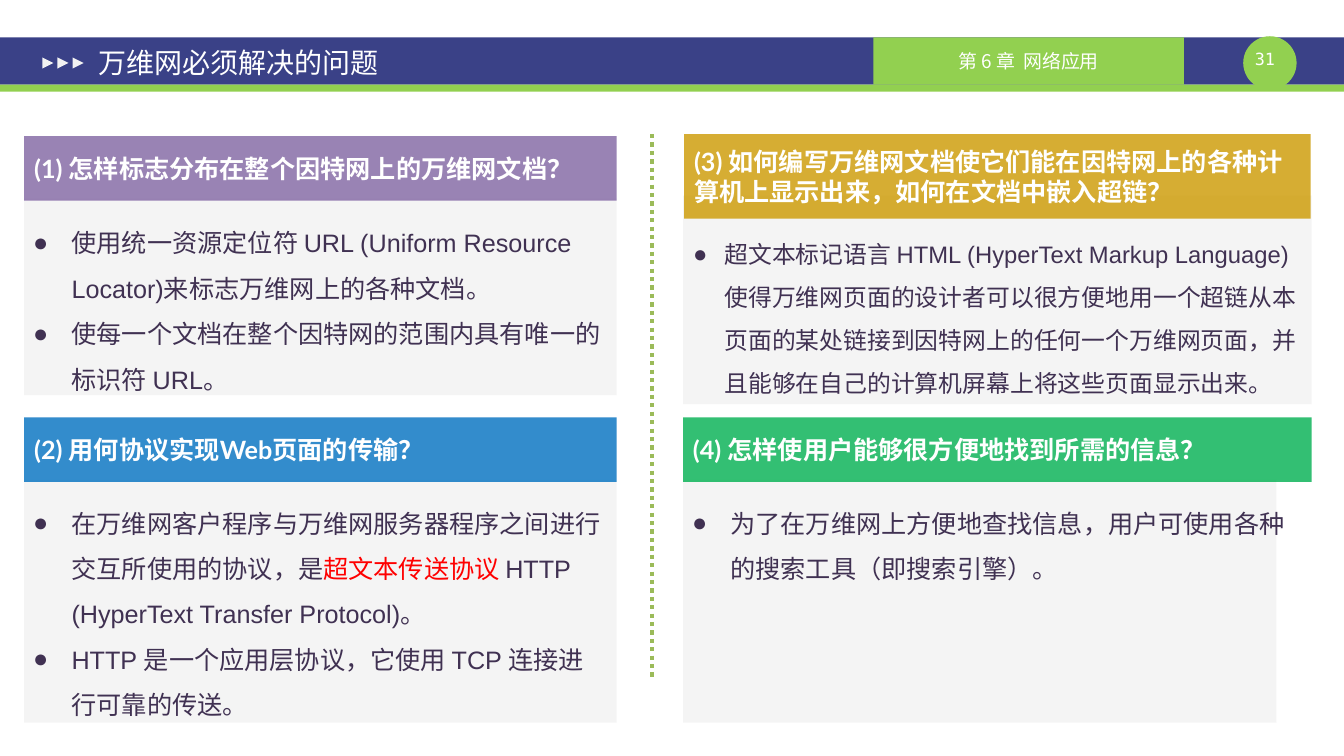
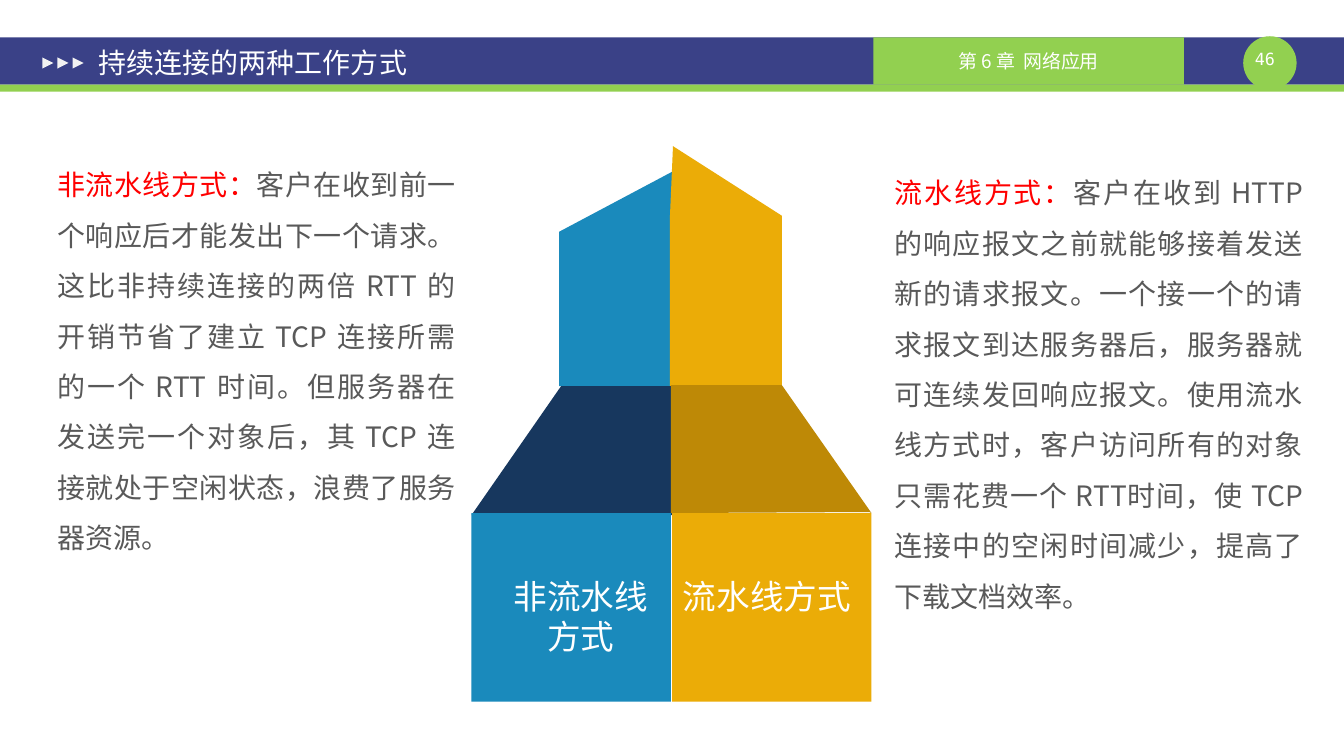
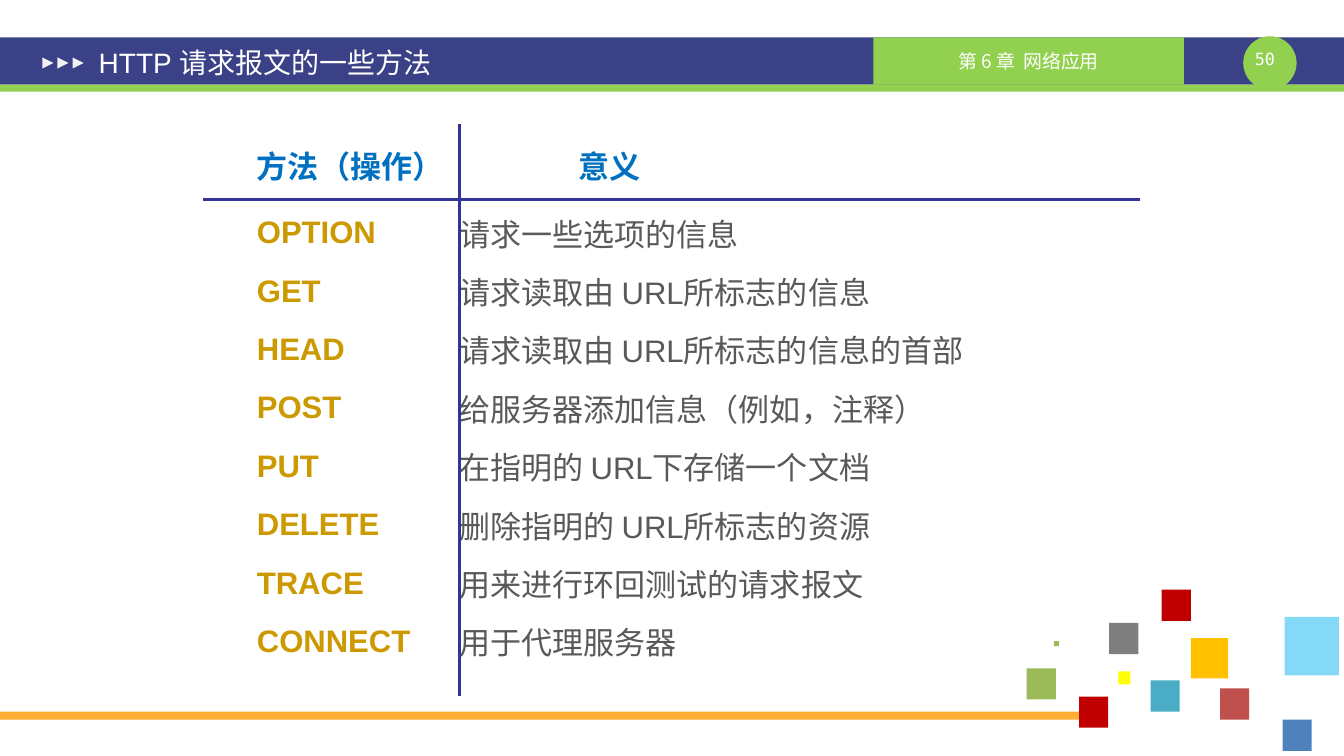
import pptx
import pptx.dml.color
import pptx.enum.dml
import pptx.enum.shapes
import pptx.enum.text
import pptx.oxml
import pptx.oxml.ns
import pptx.util
from lxml import etree

PX = 9144  # 100 px to the inch
LINE_HEIGHT = 1.2
CJK = "Noto Sans CJK SC"
COLORS = {
    "white": "FFFFFF", "navy": "3A4187", "lime": "92D050", "panel": "F2F2F2",
    "purple": "8064A2", "ochre": "CC9900", "blue": "0070C0", "green": "00B050",
    "plum": "403152", "red": "FF0000", "grey": "595959", "olive": "9BBB59",
    "sky": "1A8ABC", "amber": "EBAC07", "midnight": "17375E", "bronze": "BE8906",
    "indigo": "333399", "orange": "FF9900", "pale blue": "85D9F8",
    "brick": "C0504D", "gold": "FFC000", "teal": "4BACC6", "steel": "4F81BD",
    "yellow": "FFFF00", "crimson": "C00000", "mid grey": "7F7F7F",
}
SHAPE = pptx.enum.shapes.MSO_SHAPE
ALIGN = pptx.enum.text.PP_ALIGN
ANCHOR = pptx.enum.text.MSO_ANCHOR
qn = pptx.oxml.ns.qn


def paint(shape, color, opacity=100):
    """Give a shape a plain fill without line or shadow."""
    shape.shadow.inherit = False
    shape.line.fill.background()
    shape.fill.solid()
    shape.fill.fore_color.rgb = pptx.dml.color.RGBColor.from_string(COLORS[color])
    if opacity < 100:
        tint = shape.element.spPr.find(".//" + qn("a:srgbClr"))
        etree.SubElement(tint, qn("a:alpha")).set("val", str(opacity * 1000))
    return shape


def write(para, spans, size, font, spacing=1, align=ALIGN.LEFT):
    """Add (text, color, bold) spans as runs of one paragraph."""
    para.alignment = align
    para.line_spacing = pptx.util.Pt(round(size * LINE_HEIGHT * spacing, 1))
    for text, color, bold in spans:
        span = para.add_run()
        span.text = text
        span.font.size = pptx.util.Pt(size)
        span.font.bold = bold
        span.font.name = font
        span.font.color.rgb = pptx.dml.color.RGBColor.from_string(COLORS[color])
        etree.SubElement(span.font._element, qn("a:ea")).set("typeface", CJK)


deck = pptx.Presentation()
deck.slide_width, deck.slide_height = 1334 * PX, 750 * PX

# Pages with title and number
pages = []
for layout, title, number in [
    (4, "万维网必须解决的问题", "31"),
    (5, "持续连接的两种工作方式", "46"),
    (3, "HTTP 请求报文的一些方法", "50"),
]:
    page = deck.slides.add_slide(deck.slide_layouts[layout])
    pages.append(page)
    heading = page.shapes.title
    heading.left, heading.top, heading.width, heading.height = 85 * PX, 38 * PX, 583 * PX, 47 * PX
    frame = heading.text_frame
    frame.auto_size = pptx.enum.text.MSO_AUTO_SIZE.NONE
    frame.vertical_anchor = ANCHOR.MIDDLE
    frame.margin_left = frame.margin_right = 13 * PX
    frame.margin_top = frame.margin_bottom = 7 * PX
    write(frame.paragraphs[0], [(title, "white", False)], 20, "Arial")

    frame = page.shapes.add_textbox(1229 * PX, 48 * PX, 53 * PX, 20 * PX).text_frame
    frame.margin_left = frame.margin_right = frame.margin_top = frame.margin_bottom = 0
    write(frame.paragraphs[0], [(number, "white", False)], 12, "DejaVu Sans Mono", align=ALIGN.CENTER)

problems, pipelining, methods = pages

# Header band, kept on the slide master
band = problems.shapes.add_group_shape()
for kind, left, top, width, height, color in [
    (SHAPE.RECTANGLE, 0, 37, 1334, 47, "navy"),
    (SHAPE.RECTANGLE, 0, 84, 1334, 7, "lime"),
    (SHAPE.OVAL, 1234, 36, 53, 53, "lime"),
]:
    paint(band.shapes.add_shape(kind, left * PX, top * PX, width * PX, height * PX), color)
chapter = paint(band.shapes.add_shape(SHAPE.RECTANGLE, 867 * PX, 37 * PX, 308 * PX, 47 * PX), "lime")
chapter.text_frame.vertical_anchor = ANCHOR.MIDDLE
write(chapter.text_frame.paragraphs[0], [("第 6 章  网络应用", "white", False)], 13.5, CJK, align=ALIGN.CENTER)
for column in range(3):
    arrow = band.shapes.add_shape(SHAPE.ISOSCELES_TRIANGLE, (42 + 15 * column) * PX, 57 * PX, 11 * PX, 11 * PX)
    paint(arrow, "panel").rotation = 90
for number, node in enumerate(band.element.xpath(".//p:cNvPr"), 100):
    node.set("id", str(number))
deck.slide_master.shapes.element.insert(2, band.element)

# Rules: dotted divider and table lines
for page, start, end, color, weight, dash in [
    (problems, (647, 133), (647, 675), "olive", 3, pptx.enum.dml.MSO_LINE.ROUND_DOT),
    (methods, (202, 198), (1132, 198), "indigo", 2.25, None),
    (methods, (456, 123), (456, 690), "indigo", 2.25, None),
]:
    rule = page.shapes.add_connector(
        pptx.enum.shapes.MSO_CONNECTOR.STRAIGHT, *[value * PX for value in start + end])
    rule.line.color.rgb = pptx.dml.color.RGBColor.from_string(COLORS[color])
    rule.line.width = pptx.util.Pt(weight)
    if dash:
        rule.line.dash_style = dash
    etree.SubElement(rule.element.spPr, qn("a:effectLst"))

# Four questions: panel, heading bar and list
questions = [
    ("(1) 怎样标志分布在整个因特网上的万维网文档？", "purple",
     (24, 197, 588, 195), (24, 135, 588, 64), (23, 206, 589, 186), 18, 38,
     [[("使用统一资源定位符 URL (Uniform Resource Locator)来标志万维网上的各种文档。", "plum", False)],
      [("使每一个文档在整个因特网的范围内具有唯一的标识符 URL。", "plum", False)]]),
    ("(3) 如何编写万维网文档使它们能在因特网上的各种计算机上显示出来，如何在文档中嵌入超链？", "ochre",
     (678, 194, 624, 207), (679, 133, 622, 84), (678, 219, 624, 182), 17, 31,
     [[("超文本标记语言 HTML (HyperText Markup Language)使得万维网页面的设计者可以很方便地用一个超链"
        "从本页面的某处链接到因特网上的任何一个万维网页面，并且能够在自己的计算机屏幕上将这些页面显示出来。",
        "plum", False)]]),
    ("(2) 用何协议实现Web页面的传输？", "blue",
     (24, 476, 588, 241), (24, 414, 588, 64), (23, 484, 589, 232), 18, 38,
     [[("在万维网客户程序与万维网服务器程序之间进行交互所使用的协议，是", "plum", False),
       ("超文本传送协议 ", "red", False),
       ("HTTP (HyperText Transfer Protocol)。", "plum", False)],
      [("HTTP 是一个应用层协议，它使用 TCP 连接进行可靠的传送。", "plum", False)]]),
    ("(4) 怎样使用户能够很方便地找到所需的信息？", "green",
     (678, 476, 589, 241), (678, 414, 624, 64), (677, 484, 624, 96), 18, 38,
     [[("为了在万维网上方便地查找信息，用户可使用各种的搜索工具（即搜索引擎）。", "plum", False)]]),
]
answer_boxes = list(problems.placeholders)[1:]
for answers, question in zip(answer_boxes, questions):
    text, color, panel_area, bar_area, list_area, size, indent, items = question
    paint(problems.shapes.add_shape(SHAPE.RECTANGLE, *[value * PX for value in panel_area]), "panel", 80)
    bar = paint(problems.shapes.add_shape(SHAPE.RECTANGLE, *[value * PX for value in bar_area]), color, 80)
    bar.text_frame.vertical_anchor = ANCHOR.MIDDLE
    write(bar.text_frame.paragraphs[0], [(text, "white", True)], 18, "Lato")

    answers.left, answers.top, answers.width, answers.height = [value * PX for value in list_area]
    answers.element.getparent().append(answers.element)  # bring in front of its panel
    frame = answers.text_frame
    frame.auto_size = pptx.enum.text.MSO_AUTO_SIZE.NONE
    frame.vertical_anchor = ANCHOR.TOP
    for index, spans in enumerate(items):
        para = frame.add_paragraph() if index else frame.paragraphs[0]
        properties = para._p.get_or_add_pPr()
        properties.set("marL", str(indent * PX))
        properties.set("indent", str(-indent * PX))
        etree.SubElement(properties, qn("a:buFont")).set("typeface", "Arial")
        etree.SubElement(properties, qn("a:buChar")).set("char", "●")
        para.space_before = pptx.util.Pt(0)
        write(para, spans, size, "Arial", 1.5)

# Two towers for the two ways of working
for color, points in [
    ("sky", [(666, 230), (666, 383), (555, 383), (555, 230), (668, 170)]),
    ("amber", [(665, 214), (665, 384), (776, 384), (776, 214), (668, 145)]),
    ("midnight", [(468, 511), (557, 383), (667, 383), (667, 511), (470, 510)]),
    ("bronze", [(865, 509), (776, 382), (666, 382), (666, 509), (863, 508)]),
]:
    outline = pipelining.shapes.build_freeform(*points[0], scale=PX)
    outline.add_line_segments(points[1:], close=True)
    paint(outline.convert_to_shape(), color)
for left, color in [(468, "sky"), (667, "amber")]:
    paint(pipelining.shapes.add_shape(SHAPE.RECTANGLE, left * PX, 509 * PX, 198 * PX, 187 * PX), color)

for area, size, spacing, align, spans in [
    ((878, 153, 425, 464), 20, 1.5, ALIGN.JUSTIFY,
     [("流水线方式：", "red", False),
      ("客户在收到 HTTP 的响应报文之前就能够接着发送新的请求报文。一个接一个的请求报文到达服务器后，"
       "服务器就可连续发回响应报文。使用流水线方式时，客户访问所有的对象只需花费一个 RTT时间，"
       "使 TCP 连接中的空闲时间减少，提高了下载文档效率。", "grey", False)]),
    ((47, 145, 415, 414), 20, 1.5, ALIGN.JUSTIFY,
     [("非流水线方式：", "red", False),
      ("客户在收到前一个响应后才能发出下一个请求。这比非持续连接的两倍 RTT 的开销节省了建立 TCP "
       "连接所需的一个 RTT 时间。但服务器在发送完一个对象后，其 TCP 连接就处于空闲状态，"
       "浪费了服务器资源。", "grey", False)]),
    ((488, 566, 177, 91), 24, 1, ALIGN.CENTER, [("非流水线方式", "white", False)]),
    ((668, 566, 197, 50), 24, 1, ALIGN.LEFT, [("流水线方式", "white", False)]),
]:
    frame = pipelining.shapes.add_textbox(*[value * PX for value in area]).text_frame
    frame.word_wrap = True
    write(frame.paragraphs[0], spans, size, CJK, spacing, align)

# Request methods: one placeholder for each column
columns = [
    (242, 205, 0, 5.3, "ochre", True,
     ["方法（操作）", "OPTION", "GET", "HEAD", "POST", "PUT", "DELETE", "TRACE", "CONNECT"]),
    (443, 825, 118, 7, "grey", False,
     ["意义", "请求一些选项的信息", "请求读取由 URL所标志的信息", "请求读取由 URL所标志的信息的首部",
      "给服务器添加信息（例如，注释）", "在指明的 URL下存储一个文档", "删除指明的 URL所标志的资源",
      "用来进行环回测试的请求报文", "用于代理服务器"]),
]
for body, column in zip(list(methods.placeholders)[1:], columns):
    left, width, header_indent, header_gap, color, bold, entries = column
    body.left, body.top, body.width, body.height = left * PX, 124 * PX, width * PX, 550 * PX
    frame = body.text_frame
    frame.auto_size = pptx.enum.text.MSO_AUTO_SIZE.NONE
    frame.margin_left, frame.margin_right = 13 * PX, 0
    frame.margin_top = frame.margin_bottom = 7 * PX
    for index, entry in enumerate(entries):
        is_header = index == 0
        para = frame.paragraphs[0] if is_header else frame.add_paragraph()
        properties = para._p.get_or_add_pPr()
        properties.set("marL", str(header_indent * PX if is_header else 0))
        properties.set("indent", "0")
        etree.SubElement(properties, qn("a:buNone"))
        para.space_before = pptx.util.Pt(0 if is_header else 4.4)
        para.space_after = pptx.util.Pt(header_gap if is_header else 0)
        span = (entry, "blue", True) if is_header else (entry, color, bold)
        write(para, [span], 22.2, "Arial", 1.4)

# Footer stripe and scattered squares
ornament = methods.shapes.add_group_shape()
paint(ornament.shapes.add_shape(SHAPE.RECTANGLE, 0, 706 * PX, 1076 * PX, 8 * PX), "orange", 80)
for left, top, width, height, color in [
    (1275, 612, 54, 58, "pale blue"),
    (1211, 683, 29, 31, "brick"),
    (1182, 633, 37, 40, "gold"),
    (1142, 675, 29, 31, "teal"),
    (1046, 636, 5, 5, "olive"),
    (1273, 714, 29, 31, "steel"),
    (1110, 666, 12, 13, "yellow"),
    (1019, 663, 29, 31, "olive"),
    (1071, 691, 29, 31, "crimson"),
    (1101, 618, 29, 31, "mid grey"),
    (1153, 585, 29, 31, "crimson"),
]:
    paint(ornament.shapes.add_shape(SHAPE.RECTANGLE, left * PX, top * PX, width * PX, height * PX), color)

deck.save("out.pptx")
